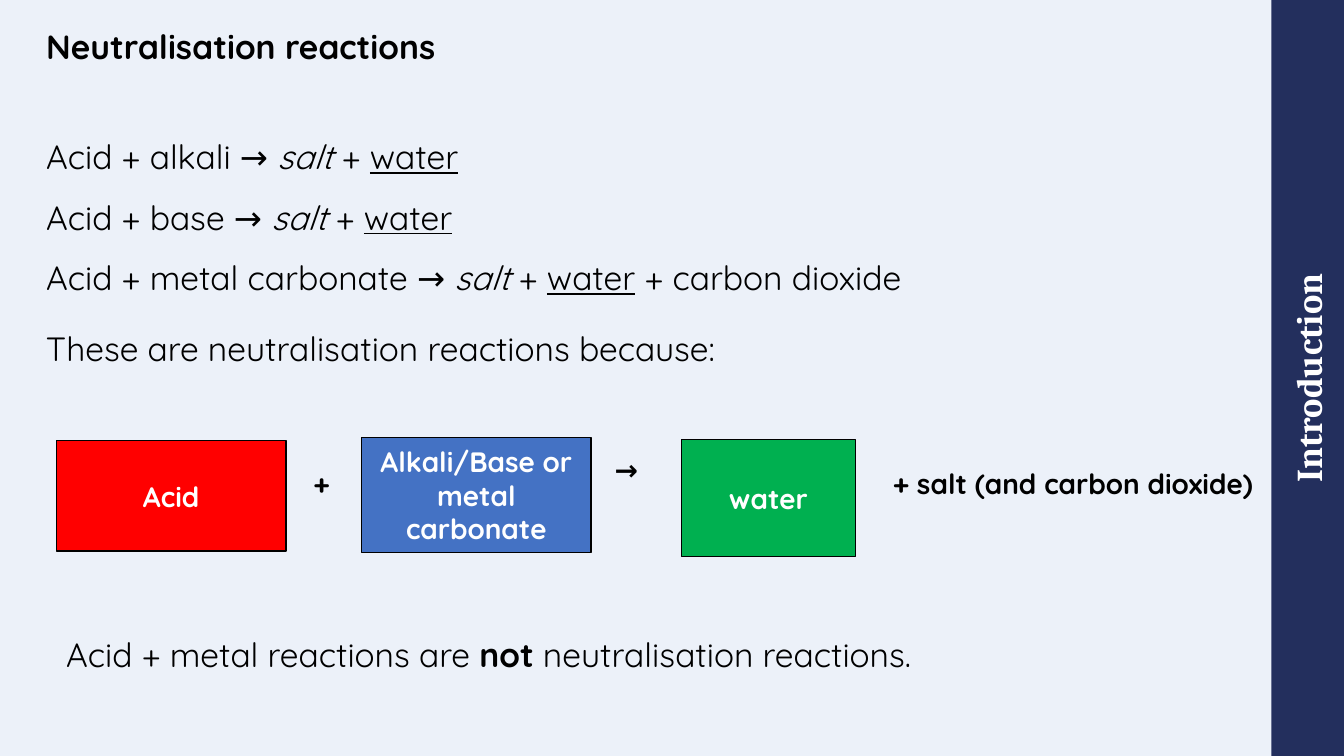
from lxml.etree import SubElement
from pptx import Presentation
from pptx.dml.color import RGBColor
from pptx.enum.shapes import MSO_SHAPE
from pptx.enum.text import MSO_ANCHOR, MSO_AUTO_SIZE, PP_ALIGN
from pptx.oxml.ns import qn
from pptx.util import Cm, Pt

PALE = RGBColor(0xEC, 0xF1, 0xF9)
NAVY = RGBColor(0x23, 0x2F, 0x5D)
RED = RGBColor(0xFF, 0x00, 0x00)
BLUE = RGBColor(0x44, 0x72, 0xC4)
GREEN = RGBColor(0x00, 0xB0, 0x50)
BLACK = RGBColor(0, 0, 0)
WHITE = RGBColor(0xFF, 0xFF, 0xFF)

WIDTH, HEIGHT, BAR = 33.87, 19.05, 1.83
LEFT = 0.91

PLAIN, BOLD = {}, {"bold": True}
ITALIC, UNDERLINE = {"italic": True}, {"underline": True}
LARGE = {"name": "Quicksand", "size": Pt(24), "color": BLACK}
LABEL = {"name": "Quicksand", "size": Pt(20), "color": BLACK, "bold": True}
BOX_LABEL = {**LABEL, "color": WHITE}
BAR_LABEL = {"name": "Cambria", "size": Pt(26), "color": WHITE, "bold": True}

TITLE = "Neutralisation reactions"
SIDE = "Introduction"
# left-hand side of each reaction, and any product besides salt and water
REACTIONS = [("alkali", ""), ("base", ""), ("metal carbonate", " + carbon dioxide")]
# text, place (left, top, width, height in cm)
REASON = ("These are neutralisation reactions because:", (LEFT, 8.15, 22.17, 1.27))
EXCEPTION = ([("Acid + metal reactions are ", PLAIN), ("not", BOLD),
              (" neutralisation reactions.", PLAIN)], (1.42, 15.85, 23.14, 1.27))
BOXES = [
    ("Acid", RED, (1.42, 11.1, 5.79, 2.79)),
    ("Alkali/Base or metal carbonate", BLUE, (9.11, 11.02, 5.79, 2.9)),
    ("water", GREEN, (17.17, 11.07, 4.39, 2.95)),
]
SIGNS = [
    ("+", (7.65, 11.63, 0.94, 1.12)),
    ("→", (15.24, 11.28, 1.22, 1.12)),
    ("+ salt (and carbon dioxide)", (22.25, 11.63, 10.19, 1.12)),
]


def lengths(place):
    return [Cm(v) for v in place]


def move(sp, place):
    sp.left, sp.top, sp.width, sp.height = lengths(place)


def add_runs(p, runs, base):
    for text, extra in runs:
        r = p.add_run()
        r.text = text
        for key, value in {**base, **extra}.items():
            if key == "color":
                r.font.color.rgb = value
            else:
                setattr(r.font, key, value)


def add_text(shapes, runs, place, base):
    tf = shapes.add_textbox(*lengths(place)).text_frame
    tf.word_wrap = True
    add_runs(tf.paragraphs[0], runs, base)


def add_box(shapes, text, fill, place, base):
    sp = shapes.add_shape(MSO_SHAPE.RECTANGLE, *lengths(place))
    sp.shadow.inherit = False
    sp.fill.solid()
    sp.fill.fore_color.rgb = fill
    tf = sp.text_frame
    tf.word_wrap = True
    tf.vertical_anchor = MSO_ANCHOR.MIDDLE
    p = tf.paragraphs[0]
    p.alignment = PP_ALIGN.CENTER
    add_runs(p, [(text, PLAIN)], base)
    return sp


def fill_placeholder(sp, place, paragraphs, base, spacing):
    move(sp, place)
    tf = sp.text_frame
    tf.auto_size = MSO_AUTO_SIZE.NONE
    tf.vertical_anchor = MSO_ANCHOR.TOP
    for i, runs in enumerate(paragraphs):
        p = tf.add_paragraph() if i else tf.paragraphs[0]
        p.alignment = PP_ALIGN.LEFT
        p.line_spacing = spacing
        p.space_before = Pt(0)
        pPr = p._p.get_or_add_pPr()
        pPr.set("marL", "0")
        pPr.set("indent", "0")
        SubElement(pPr, qn("a:buNone"))
        add_runs(p, runs, base)


def main():
    prs = Presentation()
    prs.slide_width, prs.slide_height = Cm(WIDTH), Cm(HEIGHT)
    s = prs.slides.add_slide(prs.slide_layouts[1])
    s.background.fill.solid()
    s.background.fill.fore_color.rgb = PALE

    fill_placeholder(s.shapes.title, (LEFT, 0.53, 30.71, 1.27),
                     [[(TITLE, BOLD)]], LARGE, 1.0)
    reactions = [
        [(f"Acid + {reactant} → ", PLAIN), ("salt", ITALIC), (" + ", PLAIN),
         ("water", UNDERLINE)] + ([(extra, PLAIN)] if extra else [])
        for reactant, extra in REACTIONS
    ]
    fill_placeholder(s.placeholders[1], (LEFT, 2.79, 30.71, 4.67),
                     reactions, LARGE, 1.5)

    # The bar is as long as the slide is high, turned about its centre
    bar = add_box(s.shapes, SIDE, NAVY,
                  (WIDTH - (BAR + HEIGHT) / 2, (HEIGHT - BAR) / 2, HEIGHT, BAR), BAR_LABEL)
    bar.rotation = 270
    bar.line.fill.background()
    tf = bar.text_frame
    tf.margin_left = tf.margin_right = tf.margin_top = tf.margin_bottom = 0

    reason, place = REASON
    add_text(s.shapes, [(reason, PLAIN)], place, LARGE)

    equation = s.shapes.add_group_shape().shapes
    for text, fill, place in BOXES:
        box = add_box(equation, text, fill, place, BOX_LABEL)
        box.line.color.rgb = BLACK
        box.line.width = Pt(1)
    for text, place in SIGNS:
        add_text(equation, [(text, PLAIN)], place, LABEL)

    add_text(s.shapes, *EXCEPTION, LARGE)
    prs.save("out.pptx")


if __name__ == "__main__":
    main()
